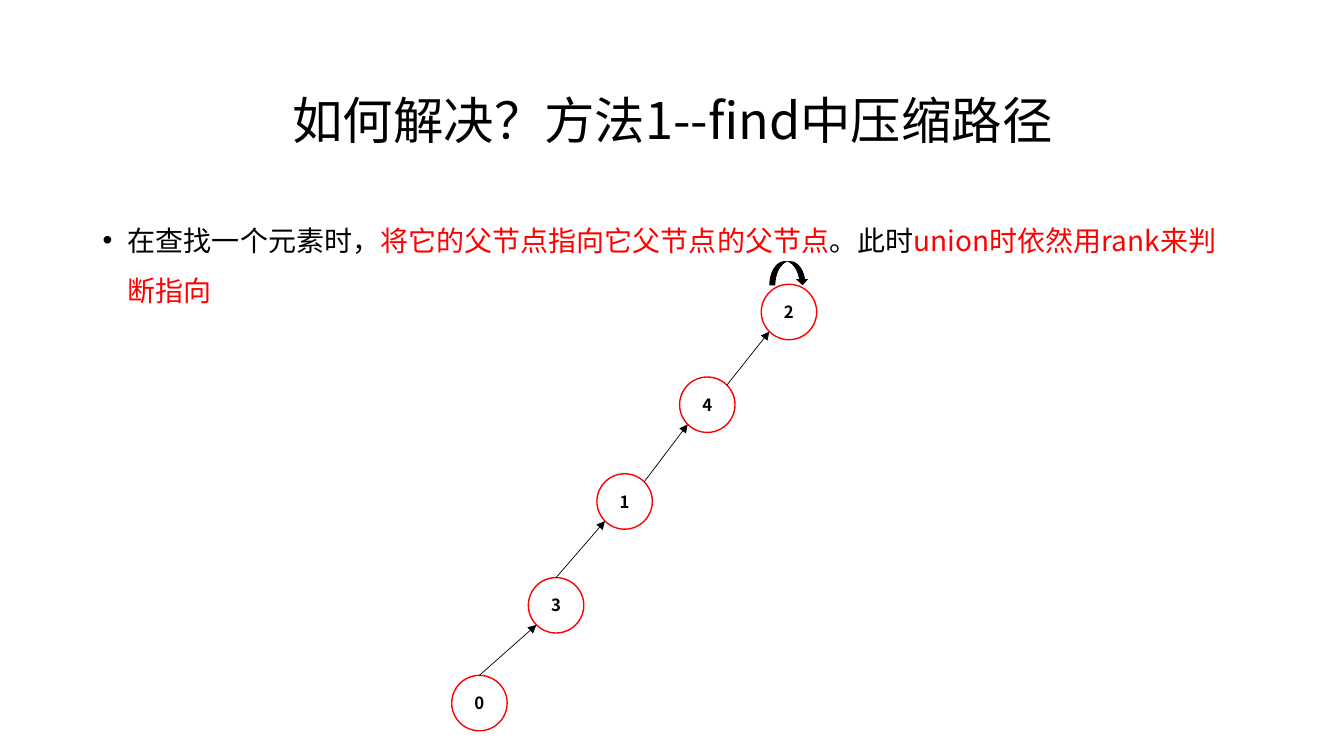
from math import sqrt

from lxml.etree import SubElement
from pptx import Presentation
from pptx.dml.color import RGBColor
from pptx.enum.shapes import MSO_CONNECTOR, MSO_SHAPE
from pptx.enum.text import MSO_ANCHOR as ANCHOR, PP_ALIGN as ALIGN
from pptx.oxml.ns import qn
from pptx.util import Inches, Pt

BLACK = RGBColor(0, 0, 0)
RED = RGBColor(255, 0, 0)
FONT = "Noto Sans CJK SC"
NODE_SIZE = 0.55


def write(frame, runs, size, bold=False, align=ALIGN.LEFT, anchor=ANCHOR.TOP,
          spacing=1.0, before=0, bullet=None, margins=(0.1, 0.05)):
    """Fill a text frame with one paragraph of (text, colour) runs."""
    frame.word_wrap = True
    frame.vertical_anchor = anchor
    frame.margin_left = frame.margin_right = Inches(margins[0])
    frame.margin_top = frame.margin_bottom = Inches(margins[1])
    paragraph = frame.paragraphs[0]
    paragraph.alignment = align
    paragraph.line_spacing = spacing
    paragraph.space_before = Pt(before)
    if bullet:
        properties = paragraph._p.get_or_add_pPr()
        properties.set("marL", str(Inches(0.25)))
        properties.set("indent", str(-Inches(0.25)))
        SubElement(properties, qn("a:buFont")).set("typeface", "Arial")
        SubElement(properties, qn("a:buChar")).set("char", bullet)
    for text, colour in runs:
        run = paragraph.add_run()
        run.text = text
        run.font.size, run.font.bold, run.font.name = Pt(size), bold, FONT
        run.font.color.rgb = colour
        SubElement(run._r.get_or_add_rPr(), qn("a:ea")).set("typeface", FONT)


def add_heading(slide, left, top, width, height):
    box = slide.shapes.add_textbox(*map(Inches, (left, top, width, height)))
    write(box.text_frame, [("如何解决？方法1--find中压缩路径", BLACK)], size=36,
          align=ALIGN.CENTER, anchor=ANCHOR.MIDDLE, spacing=1.2)


def add_explanation(slide, left, top, width, height):
    box = slide.shapes.add_textbox(*map(Inches, (left, top, width, height)))
    write(box.text_frame, [
        ("在查找一个元素时，", BLACK),
        ("将它的父节点指向它父节点的父节点", RED),
        ("。此时", BLACK),
        ("union时依然用rank来判断指向", RED),
    ], size=20, spacing=1.5, before=10, bullet="•")


def add_node(slide, label, left, top):
    node = slide.shapes.add_shape(MSO_SHAPE.OVAL, Inches(left), Inches(top),
                                  Inches(NODE_SIZE), Inches(NODE_SIZE))
    node.shadow.inherit = False
    node.fill.background()
    node.line.color.rgb = RED
    node.line.width = Pt(1)
    write(node.text_frame, [(label, BLACK)], size=12, bold=True,
          align=ALIGN.CENTER, anchor=ANCHOR.MIDDLE, margins=(0, 0))


def add_parent_arrow(slide, start, end):
    arrow = slide.shapes.add_connector(MSO_CONNECTOR.STRAIGHT,
                                       *map(Inches, start + end))
    arrow.line.color.rgb = BLACK
    arrow.line.width = Pt(0.5)
    SubElement(arrow.line._get_or_add_ln(), qn("a:tailEnd")).set("type", "triangle")
    SubElement(arrow._element.spPr, qn("a:effectLst"))


def add_parent_chain(slide, left, top):
    """Draw the chain from leaf 0 up to root 2, which points to itself."""
    # Label, offset from the corner, whether the arrow leaves at the top
    chain = [("0", 0, 4.11, True), ("3", 0.76, 3.14, True),
             ("1", 1.44, 2.11, False), ("4", 2.26, 1.15, False),
             ("2", 3.07, 0.23, False)]
    nodes = [(label, left + x, top + y, at_top) for label, x, y, at_top in chain]
    for label, x, y, _ in nodes:
        add_node(slide, label, x, y)

    # Arrows end on the parent's lower left, at 45 degrees
    radius = NODE_SIZE / 2
    diagonal = radius / sqrt(2)
    for (_, x, y, at_top), (_, parent_x, parent_y, _) in zip(nodes, nodes[1:]):
        if at_top:
            start = (x + radius, y)
        else:
            start = (x + radius + diagonal, y + radius - diagonal)
        end = (parent_x + radius - diagonal, parent_y + radius + diagonal)
        add_parent_arrow(slide, start, end)

    # Loop on the root
    root_loop = slide.shapes.add_shape(
        MSO_SHAPE.CURVED_DOWN_ARROW, Inches(left + 3.15), Inches(top),
        Inches(0.39), Inches(0.24))
    root_loop.shadow.inherit = False
    root_loop.fill.solid()
    root_loop.fill.fore_color.rgb = BLACK
    root_loop.line.fill.background()


deck = Presentation()
deck.slide_width, deck.slide_height = Inches(13.33), Inches(7.5)
path_slide = deck.slides.add_slide(deck.slide_layouts[6])
add_heading(path_slide, 0.92, 0.4, 11.5, 1.45)
add_explanation(path_slide, 0.92, 2, 11.5, 5.1)
add_parent_chain(path_slide, 4.48, 2.59)
deck.save("out.pptx")
